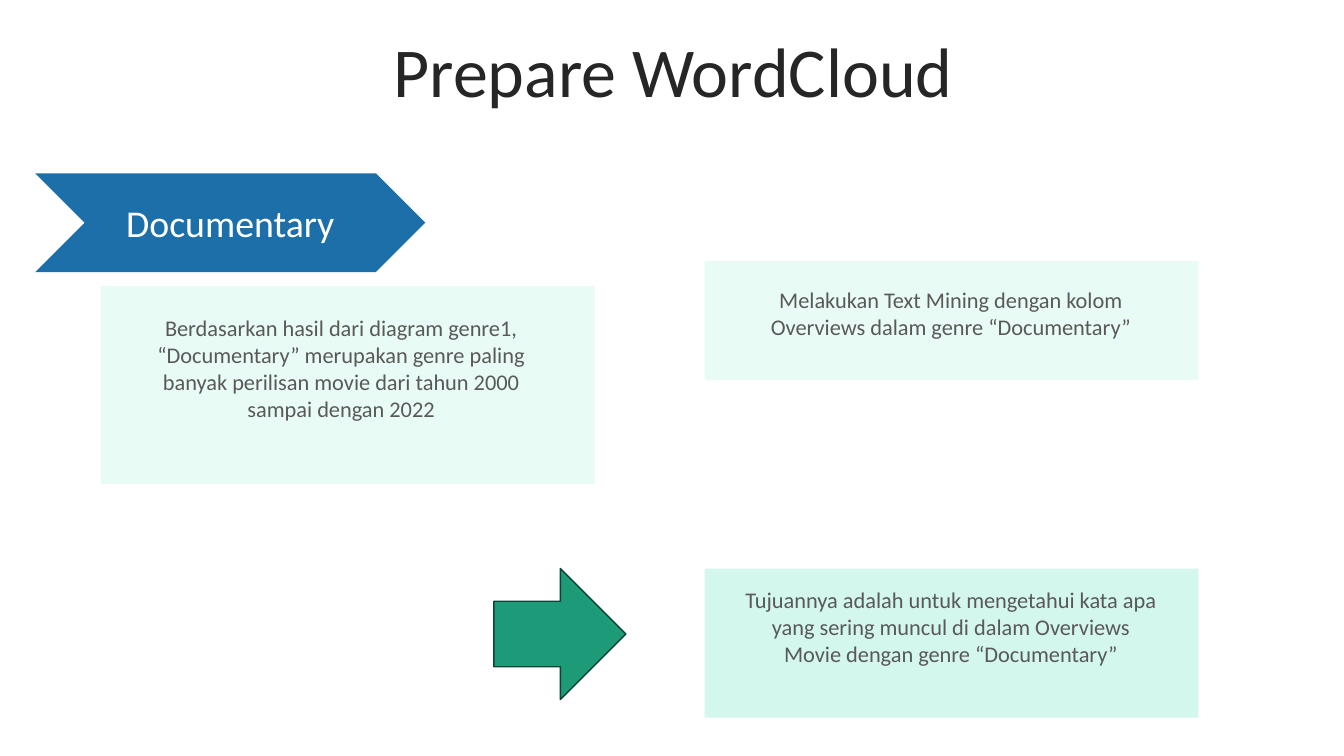
from dataclasses import dataclass

from pptx import Presentation
from pptx.dml.color import RGBColor
from pptx.enum.shapes import MSO_SHAPE
from pptx.enum.text import MSO_ANCHOR, PP_ALIGN
from pptx.oxml.ns import qn
from pptx.shapes.autoshape import Shape
from pptx.slide import Slide
from pptx.util import Pt
from lxml import etree

RECT = MSO_SHAPE.RECTANGLE
CHEVRON = MSO_SHAPE.CHEVRON
ARROW = MSO_SHAPE.RIGHT_ARROW
MIDDLE = MSO_ANCHOR.MIDDLE
TOP = MSO_ANCHOR.TOP
CENTER = PP_ALIGN.CENTER

FONT = "Calibri"
ALPHA = 40
CARD_W = 352.8
NOTE_W = 311.8


@dataclass
class Box:
    left: float
    top: float
    width: float
    height: float


@dataclass
class Card:
    panel: Box
    note: Box
    fill: str
    text: str


CARDS = [
    Card(Box(72, 204.5, CARD_W, 141.1), Box(87.8, 221, NOTE_W, 85), "C8F5E8",
         "Berdasarkan hasil dari diagram genre1, “Documentary” merupakan genre "
         "paling banyak perilisan movie dari tahun 2000 sampai dengan 2022"),
    Card(Box(503.3, 186.5, CARD_W, 85), Box(523.4, 200.9, NOTE_W, 46.1), "C8F5E8",
         "Melakukan Text Mining dengan kolom Overviews dalam genre “Documentary”"),
    Card(Box(503.3, 406.1, CARD_W, 106.6), Box(523.4, 415.4, NOTE_W, 85), "91EAD2",
         "Tujuannya adalah untuk mengetahui kata apa yang sering muncul di dalam "
         "Overviews Movie dengan genre “Documentary”"),
]


def color(code: str) -> RGBColor:
    return RGBColor.from_string(code)


def place(box: Box) -> tuple[Pt, Pt, Pt, Pt]:
    return Pt(box.left), Pt(box.top), Pt(box.width), Pt(box.height)


def write(shape: Shape, text: str, size: float, tint: str, anchor: MSO_ANCHOR) -> None:
    frame = shape.text_frame
    frame.word_wrap = True
    frame.vertical_anchor = anchor
    frame.text = text
    para = frame.paragraphs[0]
    para.alignment = CENTER
    font = para.runs[0].font
    font.name = FONT
    font.size = Pt(size)
    font.color.rgb = color(tint)


def add_shape(slide: Slide, kind: MSO_SHAPE, box: Box, fill: str) -> Shape:
    shape = slide.shapes.add_shape(kind, *place(box))
    shape.shadow.inherit = False
    shape.fill.solid()
    shape.fill.fore_color.rgb = color(fill)
    shape.line.fill.background()
    return shape


def add_text(slide: Slide, box: Box, text: str, size: float, tint: str,
             anchor: MSO_ANCHOR) -> Shape:
    shape = slide.shapes.add_textbox(*place(box))
    write(shape, text, size, tint, anchor)
    return shape


def fade(shape: Shape, percent: int) -> None:
    tone = next(shape.fill._xPr.iter(qn("a:srgbClr")))
    etree.SubElement(tone, qn("a:alpha")).set("val", str(percent * 1000))


def add_card(slide: Slide, card: Card) -> None:
    panel = add_shape(slide, RECT, card.panel, card.fill)
    fade(panel, ALPHA)
    add_text(slide, card.note, card.text, 16, "595959", TOP)


def main() -> None:
    deck = Presentation()
    deck.slide_width, deck.slide_height = Pt(960), Pt(540)
    slide = deck.slides.add_slide(deck.slide_layouts[6])

    # Title
    title = add_text(slide, Box(25.2, 26.6, 911.5, 56.9), "Prepare WordCloud",
                     50, "262626", MIDDLE)
    title.text_frame.paragraphs[0].line_spacing = 0.8

    # Genre banner
    banner = add_shape(slide, CHEVRON, Box(25.2, 123.8, 278.6, 70.6), "1D6FA9")
    write(banner, "Documentary", 27, "FFFFFF", MIDDLE)

    # Cards
    for card in CARDS:
        add_card(slide, card)

    # Arrow to the goal
    arrow = add_shape(slide, ARROW, Box(352.8, 406.1, 94.3, 93.6), "1D9A78")
    arrow.line.color.rgb = color("0D4335")
    arrow.line.width = Pt(1)

    deck.save("out.pptx")


if __name__ == "__main__":
    main()
